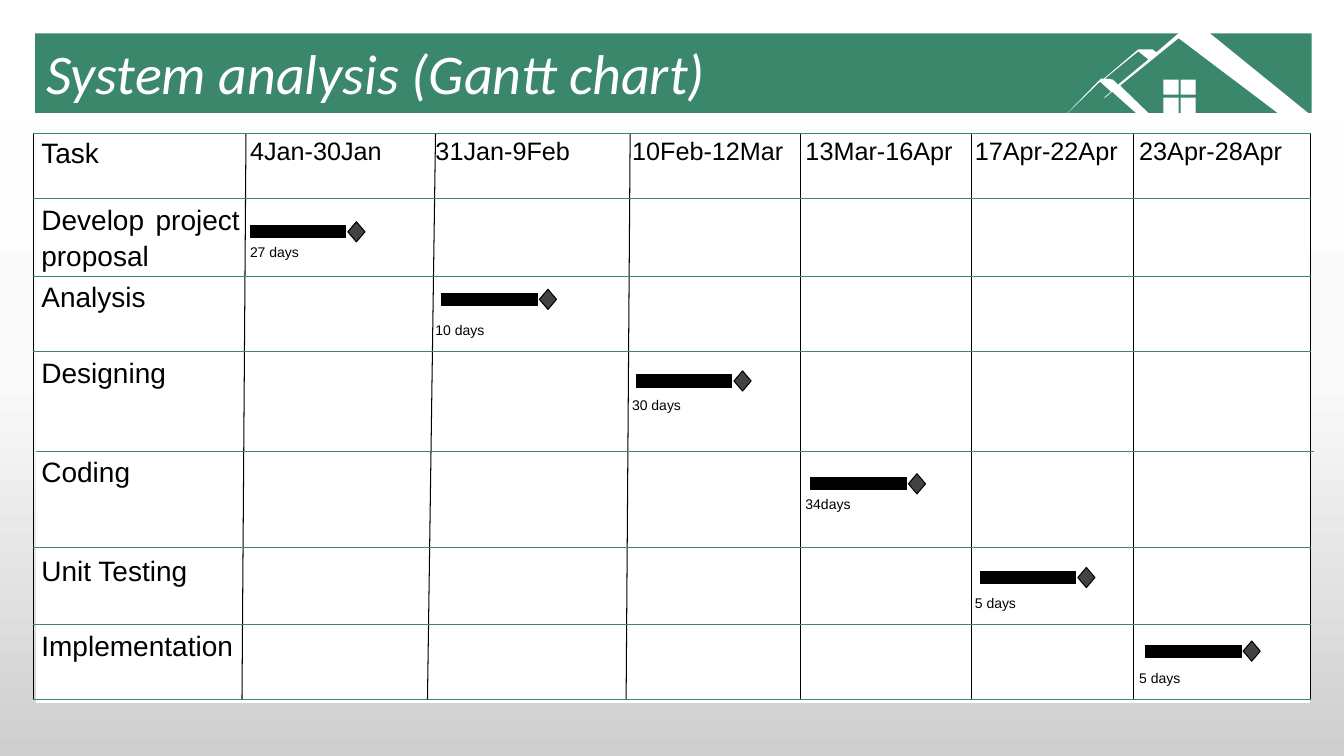
"""Build the Gantt chart slide of a system analysis."""
from copy import deepcopy
from dataclasses import dataclass
from typing import Any

from lxml.etree import SubElement
from pptx import Presentation
from pptx.dml.color import RGBColor
from pptx.enum.shapes import MSO_CONNECTOR as Connector, MSO_SHAPE as Preset
from pptx.enum.text import MSO_ANCHOR as Anchor, PP_ALIGN as Align
from pptx.oxml.ns import qn
from pptx.util import Inches, Pt

GREEN = RGBColor(0x3A, 0x87, 0x6B)
WHITE = RGBColor(0xFF, 0xFF, 0xFF)
NEAR_WHITE = RGBColor(0xFA, 0xFA, 0xFA)
SILVER = RGBColor(0xCE, 0xCE, 0xCE)
BLACK = RGBColor(0, 0, 0)
CHARCOAL = RGBColor(0x43, 0x43, 0x43)

TITLE_FONT = {"name": "Calibri", "size": Pt(40), "italic": True}
TASK_FONT = {"name": "Arial", "size": Pt(20)}
PERIOD_FONT = {"name": "Arial", "size": Pt(18)}
DURATION_FONT = {"name": "Arial", "size": Pt(10)}
CELL_PARAGRAPH = {"alignment": Align.JUSTIFY, "line_spacing": 1.15}
CELL_FORMAT = {"margin_left": Inches(0.05), "margin_right": Inches(0.05),
               "margin_top": 0, "margin_bottom": 0}
PLAIN_TABLE = {"first_row": False, "horz_banding": False}

TABLE_LEFT, TABLE_TOP, TABLE_BOTTOM = 0.36, 1.32, 6.94
GRID_LEFT, GRID_RIGHT = 0.33, 13
DURATION_OFFSET = 0.42
COLUMN_WIDTHS = [2.07, 1.84, 1.95, 1.72, 1.68, 1.63, 1.74]
ROW_HEIGHTS = [0.67, 0.75, 0.75, 0.98, 0.98, 0.75, 0.75]

Point = tuple[float, float]


@dataclass(frozen=True)
class Task:
    name: str
    period: str
    duration: str
    bar_left: float
    bar_top: float


@dataclass(frozen=True)
class Rule:
    start: Point
    end: Point
    color: RGBColor


TASKS = [
    Task("Develop project proposal", "4Jan-30Jan", "27 days", 2.48, 2.24),
    Task("Analysis", "31Jan-9Feb", "10 days", 4.38, 2.91),
    Task("Designing", "10Feb-12Mar", "30 days", 6.31, 3.72),
    Task("Coding", "13Mar-16Apr", "34days", 8.04, 4.74),
    Task("Unit Testing", "17Apr-22Apr", "5 days", 9.72, 5.67),
    Task("Implementation", "23Apr-28Apr", "5 days", 11.36, 6.4),
]

COLUMN_RULES = [(GRID_LEFT, GRID_LEFT), (2.44, 2.4), (4.32, 4.24), (6.25, 6.21),
                (7.94, 7.94), (9.64, 9.64), (11.24, 11.24), (GRID_RIGHT, GRID_RIGHT)]
ROW_RULES = [(TABLE_TOP, 0), (1.97, 0), (2.74, 0), (3.49, 0), (4.48, 0.03),
             (5.43, 0), (6.2, 0), (TABLE_BOTTOM, 0)]
RULES = [Rule((top, TABLE_TOP), (bottom, TABLE_BOTTOM), BLACK)
         for top, bottom in COLUMN_RULES]
RULES += [Rule((GRID_LEFT + shift, y), (GRID_RIGHT + shift, y), GREEN)
          for y, shift in ROW_RULES]

PANE = 0.15
WINDOW = [[(x, y), (x + PANE, y), (x + PANE, y + PANE), (x, y + PANE)]
          for x in (11.54, 11.71) for y in (0.79, 0.97)]
GABLE = [(11.29, 0.51), (10.96, 0.78), (11.04, 0.79), (11.09, 0.84), (11.39, 0.59)]
ROOF = [(11.69, 0.33), (12, 0.33), (13.01, 1.15), (12.71, 1.15), (11.69, 0.38),
        (11.11, 0.85), (11.43, 1.16), (11.31, 1.16), (11.03, 0.91), (10.96, 0.97),
        (10.95, 0.97), (11.02, 0.91), (10.91, 0.81), (10.55, 1.16), (10.56, 1.15),
        (10.92, 0.78), (10.95, 0.78), (11.29, 0.49), (11.43, 0.49), (11.47, 0.52)]


def apply_format(target: Any, values: dict[str, Any]) -> None:
    """Set each named attribute on the target."""
    for name, value in values.items():
        setattr(target, name, value)


def write_text(frame: Any, text: str, font: dict[str, Any], color: RGBColor) -> None:
    """Write one formatted paragraph into a text frame."""
    paragraph = frame.paragraphs[0]
    run = paragraph.add_run()
    run.text = text
    apply_format(run.font, font)
    run.font.color.rgb = color


def paint_background(slide: Any) -> None:
    """Give the slide a vertical gradient with three stops."""
    fill = slide.background.fill
    fill.gradient()
    fill.gradient_angle = 270
    stop_list = next(slide.element.iter(qn("a:gsLst")))
    stop_list.append(deepcopy(stop_list[-1]))
    colors = [(0, WHITE), (0.5, NEAR_WHITE), (1, SILVER)]
    for stop, (position, color) in zip(fill.gradient_stops, colors):
        stop.position = position
        stop.color.rgb = color


def style_shape(shape: Any, fill: RGBColor, outline: RGBColor | None = None) -> None:
    """Fill a shape and give it an optional thin outline."""
    shape.shadow.inherit = False
    shape.fill.solid()
    shape.fill.fore_color.rgb = fill
    if outline is None:
        shape.line.fill.background()
    else:
        shape.line.color.rgb = outline
        shape.line.width = Pt(0.75)


def draw_house(shapes: Any) -> None:
    """Draw the house outline in the title band."""
    contours = [[(Inches(x), Inches(y)) for x, y in contour]
                for contour in (*WINDOW, GABLE, ROOF)]
    builder = shapes.build_freeform(*contours[0][0])
    for contour in contours:
        builder.move_to(*contour[0])
        builder.add_line_segments(contour[1:], close=True)
    style_shape(builder.convert_to_shape(), WHITE)


def draw_title(shapes: Any) -> None:
    """Draw the title band, the house and the title."""
    band = shapes.add_shape(Preset.RECTANGLE, Inches(0.35), Inches(0.33),
                            Inches(12.66), Inches(0.79))
    style_shape(band, GREEN)
    draw_house(shapes)
    title = shapes.add_textbox(Inches(0.36), Inches(0.33), Inches(12.64), Inches(0.77))
    apply_format(title.text_frame, {"word_wrap": True, "vertical_anchor": Anchor.MIDDLE})
    write_text(title.text_frame, "System analysis (Gantt chart)", TITLE_FONT, WHITE)


def style_cell(cell: Any) -> None:
    """Give a cell white borders, a white fill and narrow margins."""
    properties = cell._tc.get_or_add_tcPr()
    for side in ("a:lnL", "a:lnR", "a:lnT", "a:lnB"):
        border = SubElement(properties, qn(side), w=str(Pt(1)))
        SubElement(SubElement(border, qn("a:solidFill")), qn("a:srgbClr"), val=str(WHITE))
    cell.fill.solid()
    cell.fill.fore_color.rgb = WHITE
    apply_format(cell, CELL_FORMAT)
    apply_format(cell.text_frame.paragraphs[0], CELL_PARAGRAPH)


def draw_table(shapes: Any) -> None:
    """Draw the table of tasks, periods and durations."""
    table = shapes.add_table(len(ROW_HEIGHTS), len(COLUMN_WIDTHS), Inches(TABLE_LEFT),
                             Inches(TABLE_TOP), Inches(sum(COLUMN_WIDTHS)),
                             Inches(sum(ROW_HEIGHTS))).table
    apply_format(table, PLAIN_TABLE)
    for column, width in zip(table.columns, COLUMN_WIDTHS):
        column.width = Inches(width)
    for row, height in zip(table.rows, ROW_HEIGHTS):
        row.height = Inches(height)
    for cell in table.iter_cells():
        style_cell(cell)
    write_text(table.cell(0, 0).text_frame, "Task", TASK_FONT, BLACK)
    for index, task in enumerate(TASKS, 1):
        write_text(table.cell(index, 0).text_frame, task.name, TASK_FONT, BLACK)
        write_text(table.cell(0, index).text_frame, task.period, PERIOD_FONT, BLACK)
        duration = table.cell(index, index)
        duration.margin_top = Inches(DURATION_OFFSET)
        write_text(duration.text_frame, task.duration, DURATION_FONT, BLACK)


def draw_bar(shapes: Any, task: Task) -> None:
    """Draw the bar of a task with its closing milestone."""
    group = shapes.add_group_shape().shapes
    bar = group.add_shape(Preset.RECTANGLE, Inches(task.bar_left), Inches(task.bar_top),
                          Inches(0.95), Inches(0.12))
    style_shape(bar, BLACK, BLACK)
    milestone = group.add_shape(Preset.DIAMOND, Inches(task.bar_left + 0.97),
                                Inches(task.bar_top - 0.04), Inches(0.17), Inches(0.2))
    style_shape(milestone, CHARCOAL, BLACK)


def draw_rule(shapes: Any, rule: Rule) -> None:
    """Draw one thin line of the grid."""
    ends = [Inches(value) for value in (*rule.start, *rule.end)]
    connector = shapes.add_connector(Connector.STRAIGHT, *ends)
    connector.line.color.rgb = rule.color
    connector.line.width = Pt(0.75)
    SubElement(connector._element.spPr, qn("a:effectLst"))


def main() -> None:
    """Build and save the presentation."""
    presentation = Presentation()
    apply_format(presentation, {"slide_width": Inches(13.33), "slide_height": Inches(7.5)})
    slide = presentation.slides.add_slide(presentation.slide_layouts[6])
    paint_background(slide)
    draw_title(slide.shapes)
    draw_table(slide.shapes)
    for task in TASKS:
        draw_bar(slide.shapes, task)
    for rule in RULES:
        draw_rule(slide.shapes, rule)
    presentation.save("out.pptx")


if __name__ == "__main__":
    main()
